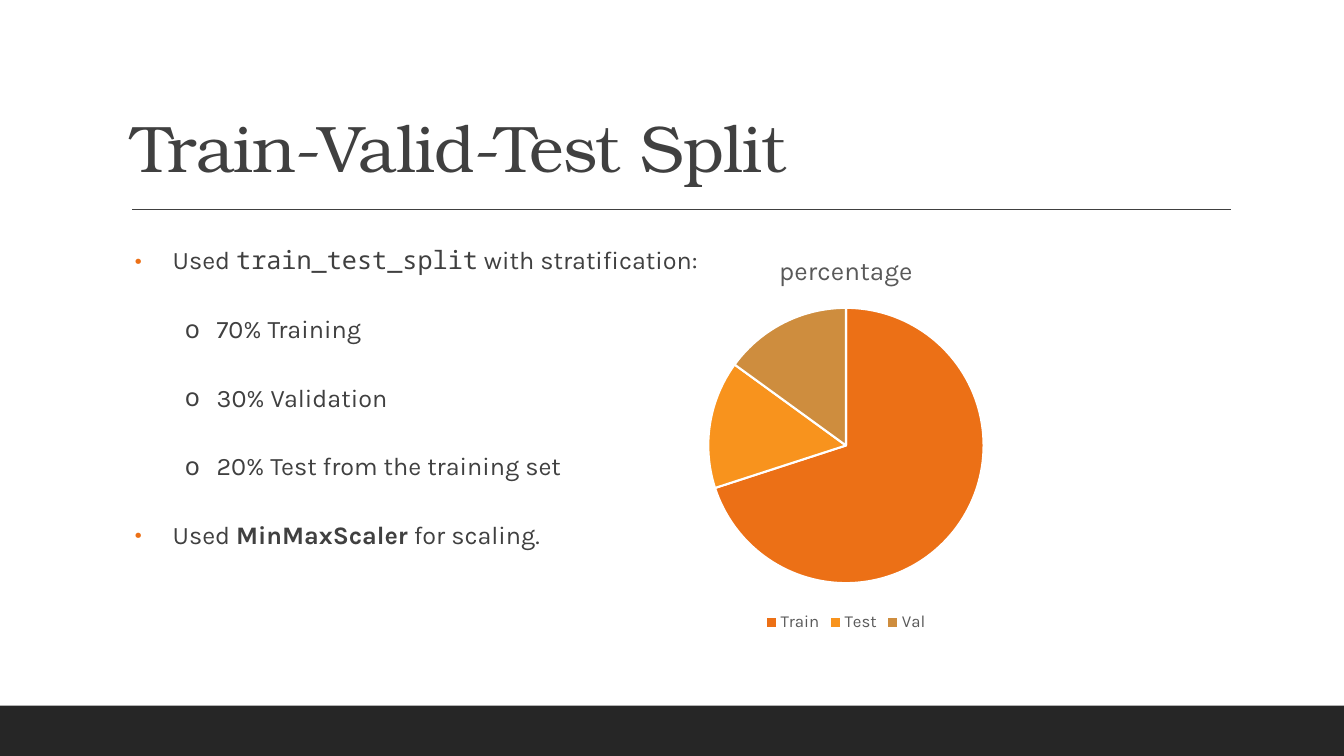
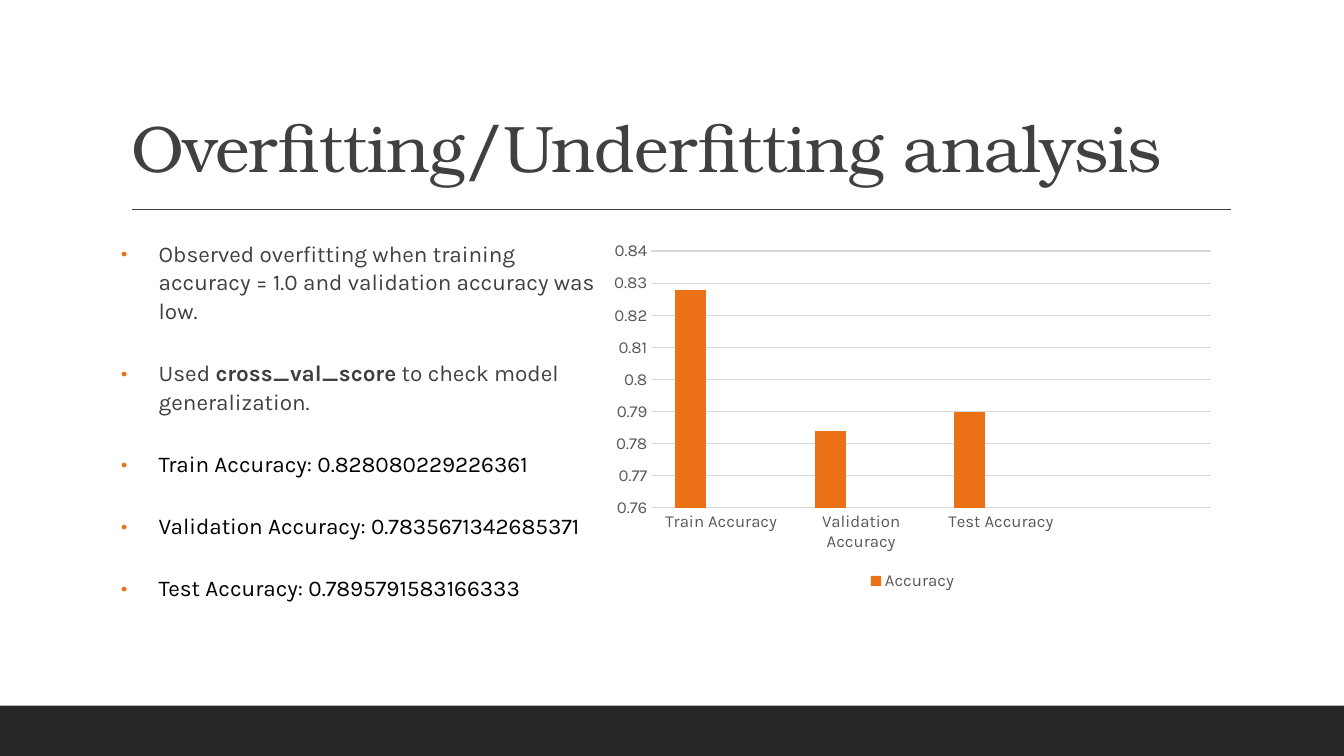
from dataclasses import dataclass

from lxml.etree import SubElement
from pptx import Presentation
from pptx.chart.data import CategoryChartData
from pptx.dml.color import RGBColor
from pptx.enum.chart import XL_CHART_TYPE, XL_LEGEND_POSITION, XL_TICK_MARK
from pptx.enum.shapes import MSO_CONNECTOR, MSO_SHAPE
from pptx.enum.text import MSO_ANCHOR, MSO_AUTO_SIZE, PP_ALIGN
from pptx.oxml import parse_xml
from pptx.oxml.ns import nsdecls, qn
from pptx.util import Cm, Pt


@dataclass(frozen=True)
class Theme:
    ink: str = "404040"
    black: str = "000000"
    white: str = "FFFFFF"
    band: str = "262626"
    label: str = "595959"
    grid: str = "D9D9D9"
    accents: tuple = ("EC7016", "F8931D", "CE8D3E")
    heading_font: str = "TeX Gyre Bonum"
    body_font: str = "Karla"
    code_font: str = "Noto Sans Mono"
    title_size: float = 47
    large_body: float = 18
    small_body: float = 16.1
    chart_title_size: float = 18.6
    label_size: float = 12


THEME = Theme()
BULLETS = (
    {"char": "•", "color": THEME.accents[0], "font": THEME.body_font, "left": 0.95, "hang": 0.95},
    {"char": "o", "color": THEME.ink, "font": THEME.code_font, "left": 2.06, "hang": 0.8},
)


def style_font(font, size, color, name=THEME.body_font, bold=False):
    font.size = Pt(size)
    font.name = name
    font.bold = bold
    font.color.rgb = RGBColor.from_string(color)


def add_text(paragraph, text, spacing=None, **style):
    run = paragraph.add_run()
    run.text = text
    style_font(run.font, **style)
    if spacing is not None:
        run._r.get_or_add_rPr().set("spc", str(round(spacing * 100)))


def set_bullet(paragraph, level):
    bullet = BULLETS[level]
    properties = paragraph._p.get_or_add_pPr()
    properties.set("marL", str(Cm(bullet["left"])))
    properties.set("indent", str(-Cm(bullet["hang"])))
    color = SubElement(properties, qn("a:buClr"))
    SubElement(color, qn("a:srgbClr"), val=bullet["color"])
    SubElement(properties, qn("a:buFont"), typeface=bullet["font"])
    SubElement(properties, qn("a:buChar"), char=bullet["char"])


def paint(fill, color):
    fill.solid()
    fill.fore_color.rgb = RGBColor.from_string(color)


class Deck:
    def __init__(self, theme):
        self.theme = theme
        self.presentation = Presentation()
        self.presentation.slide_width = Cm(33.87)
        self.presentation.slide_height = Cm(19.05)
        self.slide = None

    def new_slide(self, title):
        self.slide = self.presentation.slides.add_slide(self.presentation.slide_layouts[1])
        self.band()
        self.rule()
        self.title(title)

    def band(self):
        band = self.slide.shapes.add_shape(
            MSO_SHAPE.RECTANGLE, 0, Cm(17.78), self.presentation.slide_width, Cm(1.27))
        band.shadow.inherit = False
        paint(band.fill, self.theme.band)
        band.line.fill.background()

    def rule(self):
        rule = self.slide.shapes.add_connector(
            MSO_CONNECTOR.STRAIGHT, Cm(3.33), Cm(5.28), Cm(31.01), Cm(5.28))
        rule.line.width = Pt(1)
        rule.line.color.rgb = RGBColor.from_string(self.theme.ink)
        SubElement(rule._element.spPr, qn("a:effectLst"))

    def place(self, placeholder, box, anchor):
        placeholder.left, placeholder.top, placeholder.width, placeholder.height = map(Cm, box)
        frame = placeholder.text_frame
        frame.word_wrap = True
        frame.auto_size = MSO_AUTO_SIZE.NONE
        frame.vertical_anchor = anchor
        return frame

    def title(self, text):
        frame = self.place(
            self.slide.shapes.title, (3.05, 0.79, 27.94, 4.04), MSO_ANCHOR.BOTTOM)
        heading = frame.paragraphs[0]
        heading.alignment = PP_ALIGN.LEFT
        heading.line_spacing = 0.9
        add_text(heading, text, spacing=-0.5, size=self.theme.title_size,
                 color=self.theme.ink, name=self.theme.heading_font)

    def bullets(self, items, box, size, line_spacing):
        frame = self.place(self.slide.placeholders[1], box, MSO_ANCHOR.TOP)
        frame.margin_left = frame.margin_right = 0
        for index, (level, runs) in enumerate(items):
            item = frame.add_paragraph() if index else frame.paragraphs[0]
            item.level = level
            item.line_spacing = line_spacing
            item.space_before = item.space_after = Pt(12)
            set_bullet(item, level)
            for text, style in runs:
                add_text(item, text, **{"size": size, "color": self.theme.ink, **style})

    def chart(self, kind, categories, series, box, plot_box):
        data = CategoryChartData()
        data.categories = categories
        for name, values in series:
            data.add_series(name, values)
        chart = self.slide.shapes.add_chart(kind, *map(Cm, box), data).chart
        style_font(chart.font, 10, self.theme.black)
        chart.has_title = False
        chart.has_legend = True
        chart.legend.position = XL_LEGEND_POSITION.BOTTOM
        chart.legend.include_in_layout = False
        style_font(chart.legend.font, self.theme.label_size, self.theme.label)
        self.set_plot_box(chart, plot_box)
        return chart

    def set_plot_box(self, chart, plot_box):
        plot_area = chart._chartSpace.chart.plotArea
        for layout in plot_area.findall(qn("c:layout")):
            plot_area.remove(layout)
        settings = [("layoutTarget", "inner"), ("xMode", "edge"), ("yMode", "edge")]
        settings += zip("xywh", plot_box)
        values = "".join(f'<c:{tag} val="{value}"/>' for tag, value in settings)
        plot_area.insert(0, parse_xml(
            f'<c:layout {nsdecls("c")}><c:manualLayout>{values}</c:manualLayout></c:layout>'))

    def pie(self, name, shares, box, plot_box):
        chart = self.chart(
            XL_CHART_TYPE.PIE, list(shares), [(name, list(shares.values()))], box, plot_box)
        chart.has_title = True
        chart.chart_title.include_in_layout = False
        add_text(chart.chart_title.text_frame.paragraphs[0], name,
                 size=self.theme.chart_title_size, color=self.theme.label)
        plot = chart.plots[0]
        plot.vary_by_categories = True
        for index, color in enumerate(self.theme.accents):
            slice_format = plot.series[0].points[index].format
            paint(slice_format.fill, color)
            slice_format.line.width = Pt(1.5)
            slice_format.line.color.rgb = RGBColor.from_string(self.theme.white)

    def columns(self, categories, series, box, plot_box, scale):
        chart = self.chart(XL_CHART_TYPE.COLUMN_CLUSTERED, categories, series, box, plot_box)
        plot = chart.plots[0]
        plot.vary_by_categories = False
        plot.gap_width = 150
        plot.overlap = 0
        for column, color in zip(plot.series, self.theme.accents):
            paint(column.format.fill, color)
        for axis in (chart.category_axis, chart.value_axis):
            axis.major_tick_mark = axis.minor_tick_mark = XL_TICK_MARK.NONE
            axis.format.line.fill.background()
            style_font(axis.tick_labels.font, self.theme.label_size, self.theme.label)
        values = chart.value_axis
        values.minimum_scale, values.maximum_scale, values.major_unit = scale
        values.has_major_gridlines = True
        values.major_gridlines.format.line.width = Pt(0.75)
        values.major_gridlines.format.line.color.rgb = RGBColor.from_string(self.theme.grid)
        self.hide_legend_entries(chart, range(1, len(series)))

    def hide_legend_entries(self, chart, indices):
        position = chart.legend._element.find(qn("c:legendPos"))
        for index in reversed(indices):
            position.addnext(parse_xml(
                f'<c:legendEntry {nsdecls("c")}><c:idx val="{index}"/>'
                '<c:delete val="1"/></c:legendEntry>'))


def split_slide(deck):
    deck.new_slide("Train-Valid-Test Split")
    subsets = ("70% Training", "30% Validation", "20% Test from the training set")
    steps = [
        (0, [("Used ", {}), ("train_test_split", {"name": THEME.code_font}),
             (" with stratification:", {})]),
        *[(1, [(subset, {})]) for subset in subsets],
        (0, [("Used ", {}), ("MinMaxScaler", {"bold": True}), (" for scaling.", {})]),
    ]
    deck.bullets(steps, (3.4, 5.92, 14.83, 10.44), THEME.large_body, 1.16)
    deck.pie("percentage", {"Train": 70, "Test": 15, "Val": 15},
             (12.19, 5.92, 18.26, 10.11), (0.31, 0.18, 0.38, 0.69))


def accuracy_slide(deck):
    deck.new_slide("Overfitting/Underfitting analysis")
    scores = {
        "Train Accuracy": "0.828080229226361",
        "Validation Accuracy": "0.7835671342685371",
        "Test Accuracy": "0.7895791583166333",
    }
    findings = [
        (0, [("Observed overfitting when training accuracy = 1.0 "
              "and validation accuracy was low.", {})]),
        (0, [("Used ", {}), ("cross_val_score", {"bold": True}),
             (" to check model generalization.", {})]),
        *[(0, [(f"{name}: {score}", {"color": THEME.black})]) for name, score in scores.items()],
    ]
    deck.bullets(findings, (3.05, 5.87, 12.29, 10.49), THEME.small_body, 1.06)
    accuracies = [round(float(score), 3) for score in scores.values()]
    unused = [None] * 4
    deck.columns([*scores, ""],
                 [("Accuracy", [*accuracies, None]), ("Series 2", unused), ("Series 3", unused)],
                 (15.16, 5.87, 15.67, 9.12), (0.08, 0.05, 0.9, 0.71), (0.76, 0.84, 0.01))


def main():
    deck = Deck(THEME)
    split_slide(deck)
    accuracy_slide(deck)
    deck.presentation.save("out.pptx")


if __name__ == "__main__":
    main()
